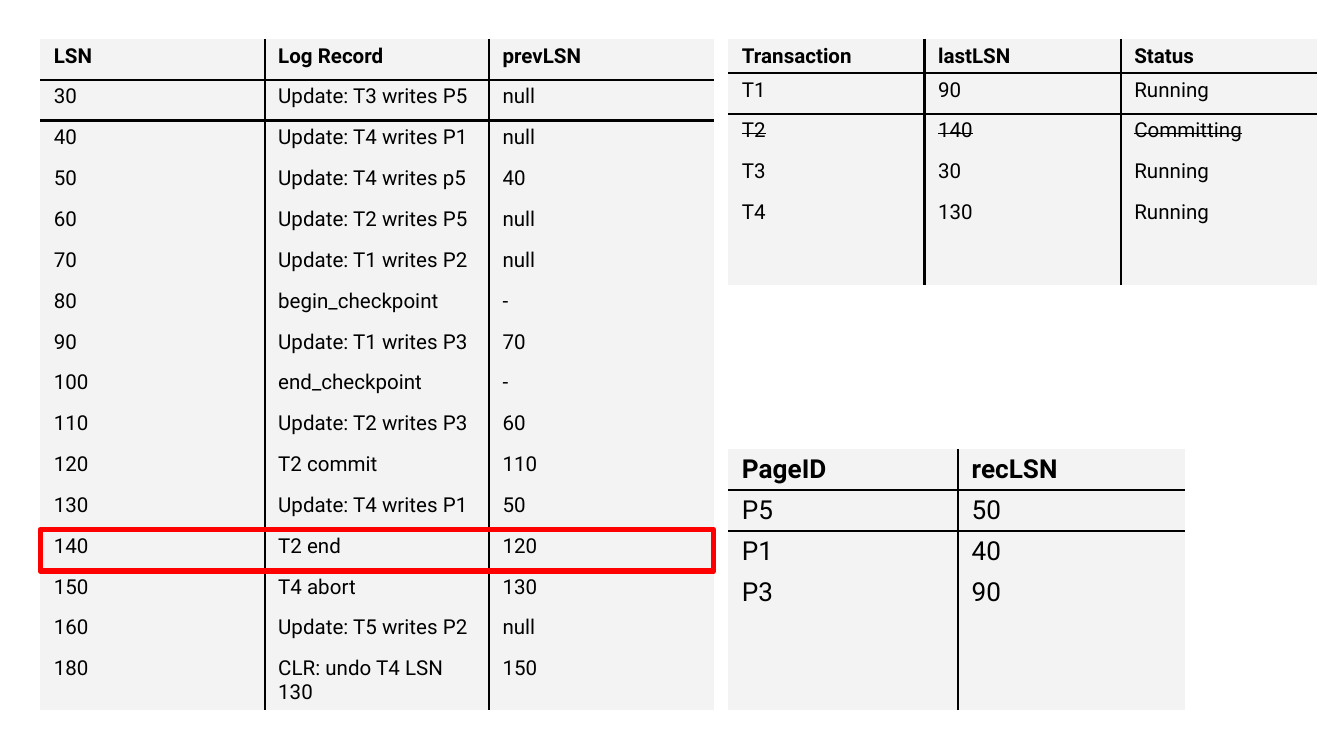
import pptx
import pptx.dml.color
import pptx.enum.shapes
import pptx.oxml.ns
import pptx.util
from lxml import etree

Inches, Pt = pptx.util.Inches, pptx.util.Pt
COLORS = {"ink": "000000", "cell": "F3F3F3", "highlight": "FF0000"}
FONT = "Roboto"
PLAIN_STYLE = "{2D5ABB26-0587-4C30-8999-92F81FD0307C}"
ROW_HEIGHT, EMPTY_HEIGHT = Pt(21.9), Inches(0.36)

LOG = [
    ("LSN", "Log Record", "prevLSN"),
    ("30", "Update: T3 writes P5", "null"),
    ("40", "Update: T4 writes P1", "null"),
    ("50", "Update: T4 writes p5", "40"),
    ("60", "Update: T2 writes P5", "null"),
    ("70", "Update: T1 writes P2", "null"),
    ("80", "begin_checkpoint", "-"),
    ("90", "Update: T1 writes P3", "70"),
    ("100", "end_checkpoint", "-"),
    ("110", "Update: T2 writes P3", "60"),
    ("120", "T2 commit", "110"),
    ("130", "Update: T4 writes P1", "50"),
    ("140", "T2 end", "120"),
    ("150", "T4 abort", "130"),
    ("160", "Update: T5 writes P2", "null"),
    ("180", "CLR: undo T4 LSN 130", "150"),
]
TRANSACTIONS = [
    ("Transaction", "lastLSN", "Status"),
    ("T1", "90", "Running"),
    ("T2", "140", "Committing"),
    ("T3", "30", "Running"),
    ("T4", "130", "Running"),
    ("", "", ""),
]
DIRTY_PAGES = [("PageID", "recLSN"), ("P5", "50"), ("P1", "40"), ("P3", "90"),
               ("", ""), ("", "")]

# Position, column widths, text size, special row heights and struck rows
TABLES = [
    {"rows": LOG, "at": (0.3, 0.29), "columns": [1.67] * 3, "size": 11,
     "heights": {15: Inches(0.43)}, "struck": []},
    {"rows": TRANSACTIONS, "at": (5.42, 0.29), "columns": [1.46] * 3, "size": 11,
     "heights": {0: Inches(0.25)}, "struck": [2]},
    {"rows": DIRTY_PAGES, "at": (5.42, 3.34), "columns": [1.71, 1.69], "size": 14,
     "heights": {}, "struck": []},
]


def color(name):
    return pptx.dml.color.RGBColor.from_string(COLORS[name])


def add_borders(cell, sides):
    properties = cell._tc.get_or_add_tcPr()
    qn = pptx.oxml.ns.qn
    for side in sides:
        line = etree.SubElement(properties, qn("a:ln" + side), w=str(Pt(1.5)))
        fill = etree.SubElement(line, qn("a:solidFill"))
        etree.SubElement(fill, qn("a:srgbClr"), val=COLORS["ink"])


def add_log_table(slide, rows, at, columns, size, heights, struck):
    row_heights = [heights.get(i, ROW_HEIGHT if row[0] else EMPTY_HEIGHT)
                   for i, row in enumerate(rows)]
    frame = slide.shapes.add_table(
        len(rows), len(columns), Inches(at[0]), Inches(at[1]),
        Inches(sum(columns)), sum(row_heights))
    table = frame.table
    table.first_row = table.horz_banding = False
    table._tbl.tblPr.find(pptx.oxml.ns.qn("a:tableStyleId")).text = PLAIN_STYLE
    for column, width in zip(table.columns, columns):
        column.width = Inches(width)
    for i, row in enumerate(rows):
        table.rows[i].height = row_heights[i]
        for j, text in enumerate(row):
            cell = table.cell(i, j)
            # Rules between columns and under the header
            sides = [("L", j > 0), ("R", j < len(row) - 1),
                     ("T", i == 1), ("B", i == 0)]
            add_borders(cell, [side for side, shown in sides if shown])
            cell.fill.solid()
            cell.fill.fore_color.rgb = color("cell")
            cell.margin_left = cell.margin_right = Inches(0.1)
            cell.margin_top = cell.margin_bottom = Pt(2.7)
            span = cell.text_frame.paragraphs[0].add_run()
            span.text = text
            span.font.name, span.font.size = FONT, Pt(size)
            span.font.bold = i == 0
            span.font.color.rgb = color("ink")
            if i in struck:
                span.font._element.set("strike", "sngStrike")


def main():
    deck = pptx.Presentation()
    deck.slide_width, deck.slide_height = Inches(10), Inches(5.625)
    page = deck.slides.add_slide(deck.slide_layouts[6])
    for table in TABLES:
        add_log_table(page, **table)

    # Frame around the current log record
    box = page.shapes.add_shape(
        pptx.enum.shapes.MSO_SHAPE.RECTANGLE,
        Inches(0.3), Inches(3.94), Inches(5.01), Inches(0.31))
    box.shadow.inherit = False
    box.fill.background()
    box.line.color.rgb = color("highlight")
    box.line.width = Pt(3)
    deck.save("out.pptx")


if __name__ == "__main__":
    main()
